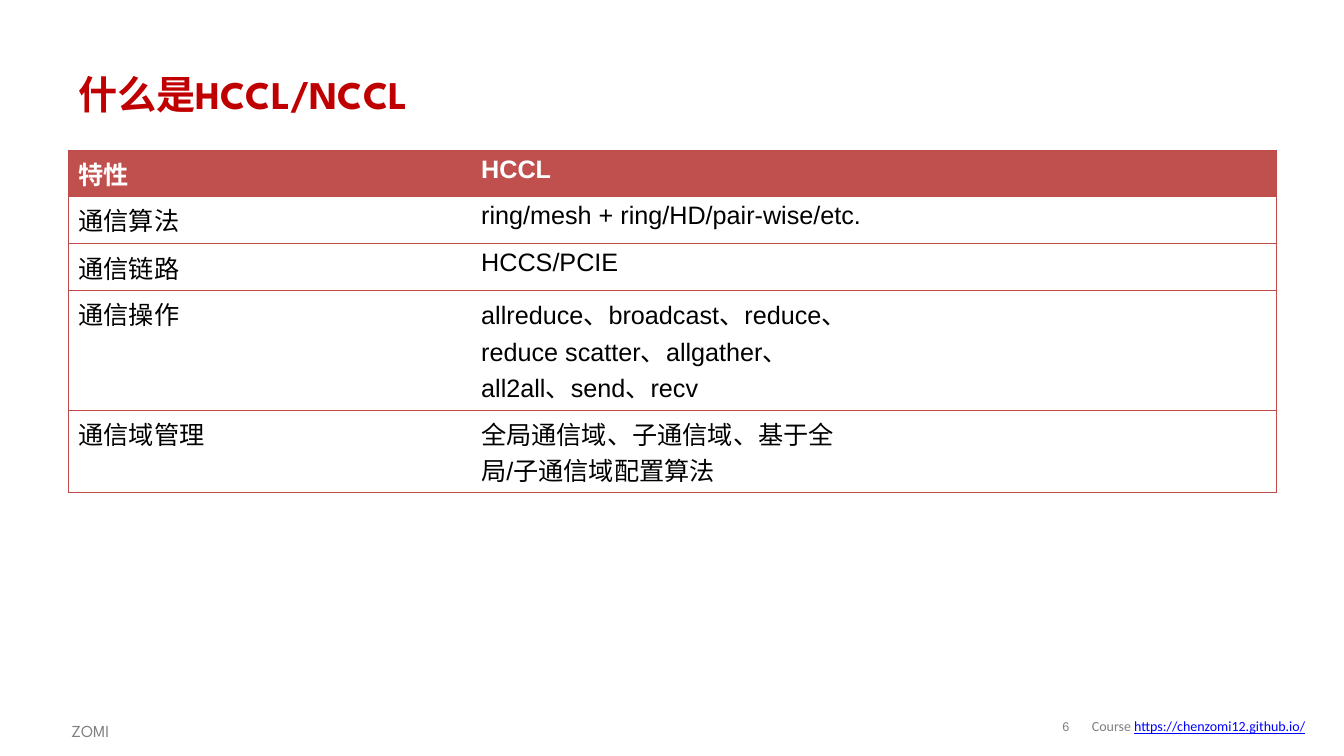
from lxml.etree import SubElement
from pptx import Presentation
from pptx.dml.color import RGBColor
from pptx.enum.text import MSO_ANCHOR, PP_ALIGN
from pptx.oxml.ns import qn
from pptx.util import Inches, Pt

COLORS = {
    "title": "C00000",
    "header": "C0504D",
    "border": "BF4C48",
    "white": "FFFFFF",
    "black": "000000",
    "gray": "808080",
    "link": "0000FF",
}

FEATURES = [
    ("特性", "HCCL"),
    ("通信算法", "ring/mesh + ring/HD/pair-wise/etc."),
    ("通信链路", "HCCS/PCIE"),
    ("通信操作", "allreduce、broadcast、reduce、reduce scatter、allgather、all2all、send、recv"),
    ("通信域管理", "全局通信域、子通信域、基于全局/子通信域配置算法"),
]
ROW_HEIGHTS = [0.46, 0.47, 0.46, 1.19, 0.82]
COLUMN_COUNT = 3


def color(name):
    return RGBColor.from_string(COLORS[name])


def add_run(paragraph, text, font_name, size, color_name, bold=False, underline=False):
    run = paragraph.add_run()
    run.text = text
    run.font.name = font_name
    run.font.size = Pt(size)
    run.font.color.rgb = color(color_name)
    run.font.bold = bold
    run.font.underline = underline


def add_text_box(slide, left, top, width, height, anchor=MSO_ANCHOR.MIDDLE):
    box = slide.shapes.add_textbox(Inches(left), Inches(top), Inches(width), Inches(height))
    box.text_frame.word_wrap = True
    box.text_frame.vertical_anchor = anchor
    return box.text_frame


def add_title(slide, left, top, width, height):
    frame = add_text_box(slide, left, top, width, height)
    add_run(frame.paragraphs[0], "什么是HCCL/NCCL", "League Spartan", 28, "title", bold=True)


def set_borders(cell, visible_sides):
    properties = cell._tc.get_or_add_tcPr()
    for side in "LRTB":
        line = SubElement(properties, qn(f"a:ln{side}"), w=str(Pt(0.75)))
        if side in visible_sides:
            fill = SubElement(line, qn("a:solidFill"))
            SubElement(fill, qn("a:srgbClr"), val=COLORS["border"])
        else:
            SubElement(line, qn("a:noFill"))


def add_feature_table(slide, left, top, width):
    frame = slide.shapes.add_table(
        len(FEATURES), COLUMN_COUNT, Inches(left), Inches(top),
        Inches(width), Inches(sum(ROW_HEIGHTS)))
    table = frame.table
    for column in table.columns:
        column.width = Inches(width / COLUMN_COUNT)
    edges = {0: "L", COLUMN_COUNT - 1: "R"}
    for row_index, (texts, row_height) in enumerate(zip(FEATURES, ROW_HEIGHTS)):
        table.rows[row_index].height = Inches(row_height)
        is_header = row_index == 0
        for column_index in range(COLUMN_COUNT):
            cell = table.cell(row_index, column_index)
            set_borders(cell, "TB" + edges.get(column_index, ""))
            cell.fill.solid()
            cell.fill.fore_color.rgb = color("header" if is_header else "white")
            if column_index < len(texts):
                add_run(cell.text_frame.paragraphs[0], texts[column_index], "Arial", 18,
                        "white" if is_header else "black", bold=is_header)


def add_footer(slide, left, top, right):
    author = add_text_box(slide, left, top, 0.8, 0.32, MSO_ANCHOR.TOP).paragraphs[0]
    author.line_spacing = 1.2
    add_run(author, "ZOMI", "League Spartan", 12, "gray")

    course_left = right - 2.46
    number_frame = add_text_box(slide, course_left - 0.34, top, 0.36, 0.31)
    number_frame.margin_left = number_frame.margin_right = 0
    number_frame.margin_top = number_frame.margin_bottom = 0
    number = number_frame.paragraphs[0]
    number.alignment = PP_ALIGN.CENTER
    number.line_spacing = 0.85
    add_run(number, "6", "Arial", 9, "gray")

    course = add_text_box(slide, course_left, top, 2.46, 0.29).paragraphs[0]
    add_run(course, "Course ", "Calibri", 10, "gray")
    add_run(course, "https://chenzomi12.github.io/", "Calibri", 10, "link", underline=True)


def main():
    presentation = Presentation()
    presentation.slide_width = Inches(13.34)
    presentation.slide_height = Inches(7.5)
    slide = presentation.slides.add_slide(presentation.slide_layouts[6])
    add_title(slide, 0.68, 0.61, 11.99, 0.64)
    add_feature_table(slide, 0.68, 1.49, 11.99)
    add_footer(slide, 0.61, 7.06, 13.2)
    presentation.save("out.pptx")


if __name__ == "__main__":
    main()
